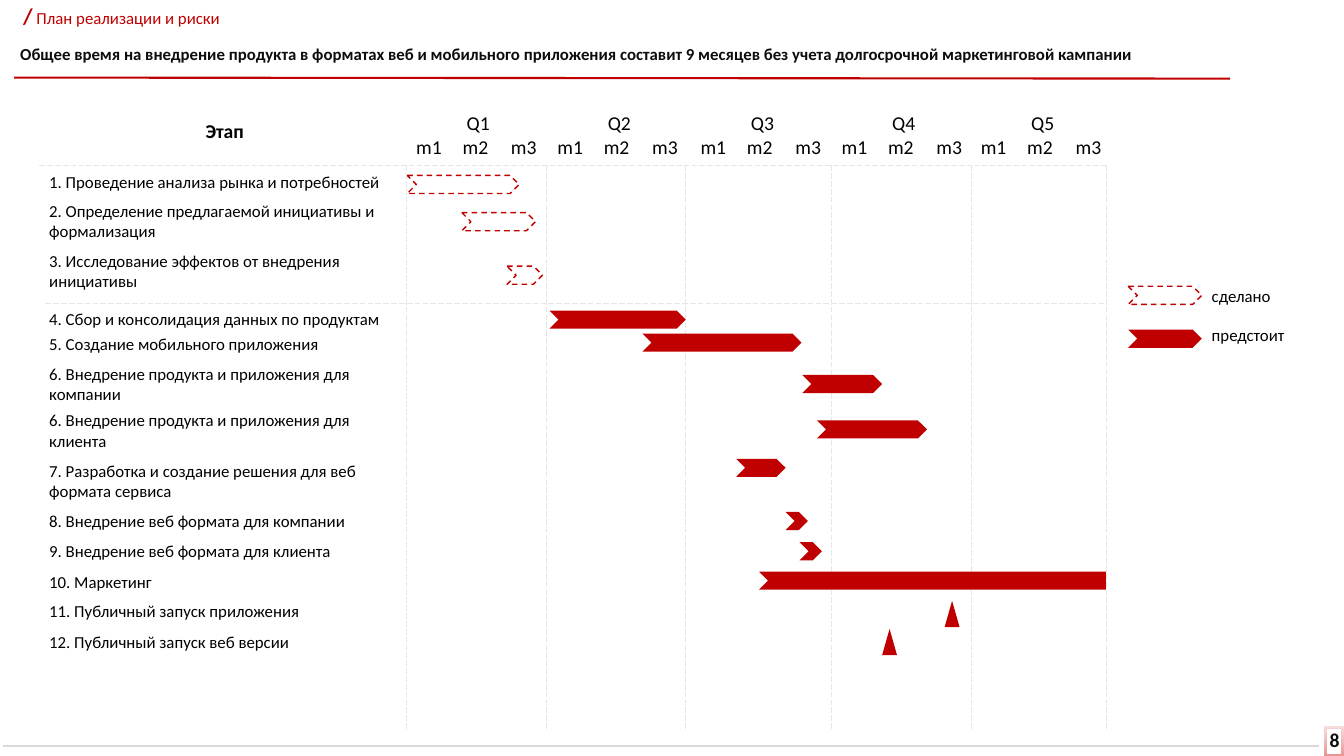
from copy import deepcopy
from pptx import Presentation
from pptx.dml.color import RGBColor
from pptx.enum.dml import MSO_LINE
from pptx.enum.shapes import MSO_CONNECTOR, MSO_SHAPE as SHAPE
from pptx.enum.text import MSO_ANCHOR, MSO_AUTO_SIZE, PP_ALIGN
from pptx.util import Inches, Pt
from lxml import etree

RED, GREY, BLACK, INK = "C00000", "E7E6E6", "000000", "0D0D0D"
LEFT, RIGHT, TOP, BOTTOM = 4.03, 10.97, 1.64, 7.25
MONTH = (RIGHT - LEFT) / 15
ROW = 7.5 / 25
BAR = 0.18

prs = Presentation()
prs.slide_width, prs.slide_height = Inches(13.33), Inches(7.5)
s = prs.slides.add_slide(prs.slide_layouts[5])


def rgb(value):
    return RGBColor.from_string(value)


def write(sp, box, runs, wrap=False):
    """Place a text shape and fill it with (text, format) runs."""
    sp.left, sp.top, sp.width, sp.height = map(Inches, box)
    tf = sp.text_frame
    tf.word_wrap = wrap
    tf.auto_size = MSO_AUTO_SIZE.SHAPE_TO_FIT_TEXT
    tf.vertical_anchor = MSO_ANCHOR.TOP
    p = tf.paragraphs[0]
    p.alignment = PP_ALIGN.LEFT
    for text, size, color, bold in runs:
        r = p.add_run()
        r.text = text
        for name, value in dict(name="Calibri", size=Pt(size), bold=bold).items():
            setattr(r.font, name, value)
        r.font.color.rgb = rgb(color)


# Heading
write(s.shapes.title, (0.1, 0.38, 12.1, 0.3),
      [("Общее время на внедрение продукта в форматах веб и мобильного приложения "
        "составит 9 месяцев без учета долгосрочной маркетинговой кампании",
        12, INK, True)], wrap=True)

# Rules and the dashed grid of quarters
quarters = [4.03, 5.42, 6.8, 8.25, 9.63, RIGHT]
rules = [(0.14, 0.77, 12.2, 0.78, RED, 1.5, None),
         (0.03, 7.4, 13.08, 7.4, "D9D9D9", 1.5, None),
         (0.39, TOP, RIGHT, TOP, GREY, 0.5, MSO_LINE.LONG_DASH),
         (0.45, 3.01, RIGHT, 3.01, GREY, 0.5, MSO_LINE.LONG_DASH)]
rules += [(x, TOP, x, BOTTOM, GREY, 0.5, MSO_LINE.LONG_DASH) for x in quarters[:-1]]
last_rule = (RIGHT, TOP, RIGHT, BOTTOM, GREY, 0.5, MSO_LINE.LONG_DASH)

# Stage label, label top in rows, bar top in rows, start and length in months
stages = [
    ("1. Проведение анализа рынка и потребностей", 5.53, 5.8, 0.02, 2.4),
    ("2. Определение предлагаемой инициативы и формализация", 6.47, 7.03, 1.19, 1.58),
    ("3. Исследование эффектов от внедрения инициативы", 8.13, 8.8, 2.16, 0.76),
    ("4. Сбор и консолидация данных по продуктам", 10.03, 10.27, 3.07, 2.92),
    ("5. Создание мобильного приложения", 10.87, 11.03, 5.06, 3.41),
    ("6. Внедрение продукта и приложения для компании", 11.87, 12.4, 8.49, 1.71),
    ("6. Внедрение продукта и приложения для клиента", 13.4, 13.9, 8.8, 2.36),
    ("7. Разработка и создание решения для веб формата сервиса", 15.07, 15.17, 7.07, 1.06),
    ("8. Внедрение веб формата для компании", 16.73, 16.93, 8.13, 0.48),
    ("9. Внедрение веб формата для клиента", 17.73, 17.93, 8.43, 0.48),
    ("10. Маркетинг", 18.73, 18.9, 7.56, 8.02),
    ("11. Публичный запуск приложения", 19.7, 19.87, 11.54, 0.32),
    ("12. Публичный запуск веб версии", 20.73, 20.8, 10.2, 0.32),
]
DONE, LAUNCHES = 3, 11

# Shapes: kind, box, fill, outline
shapes = []
texts = [("Этап", (1.94, 1.13, 0.58, 0.34), 14, True, False)]
for i, (label, label_row, bar_row, start, length) in enumerate(stages):
    height = 0.5 if len(label) > 43 else 0.3
    texts.append((label, (0.39, label_row * ROW, 3.63, height), 12, False, True))
    launch = i >= LAUNCHES
    box = (LEFT + start * MONTH, bar_row * ROW, length * MONTH, 0.26 if launch else BAR)
    shapes.append((SHAPE.ISOSCELES_TRIANGLE if launch else SHAPE.CHEVRON, box,
                   None if i < DONE else RED))
shapes.append((SHAPE.RECTANGLE, (RIGHT, 5.6, 0.45, 0.51), "FFFFFF"))

# Quarter and month headings
for q, x in enumerate([4.03, 5.43, 6.85, 8.25, 9.63], 1):
    texts.append((f"Q{q}", (x + 0.5, 1.05, 0.43, 0.34), 14, False, False))
    for m, dx in enumerate([0, 0.46, 0.94], 1):
        texts.append((f"m{m}", (x + dx, 1.29, 0.5, 0.34), 14, False, False))

# Legend
for label, y, bar_y, fill in [("сделано", 2.79, 2.84, None), ("предстоит", 3.17, 3.27, RED)]:
    shapes.append((SHAPE.CHEVRON, (11.19, bar_y, 0.73, BAR), fill))
    texts.append((label, (11.92, y, 0.93, 0.3), 12, False, False))

# Everything is drawn from back to front
for x1, y1, x2, y2, color, width, dash in rules + [last_rule]:
    if (x1, y1) == (RIGHT, TOP):
        for kind, box, fill in shapes:
            sp = s.shapes.add_shape(kind, *map(Inches, box))
            sp.shadow.inherit = False
            if fill:
                sp.fill.solid()
                sp.fill.fore_color.rgb = rgb(fill)
                sp.line.fill.background()
            else:
                sp.fill.background()
                sp.line.color.rgb = rgb(RED)
                sp.line.width = Pt(1)
                sp.line.dash_style = MSO_LINE.DASH
    line = s.shapes.add_connector(MSO_CONNECTOR.STRAIGHT, *map(Inches, (x1, y1, x2, y2)))
    line.line.color.rgb = rgb(color)
    line.line.width = Pt(width)
    line.line.dash_style = dash
    etree.SubElement(line._element.spPr,
                     "{http://schemas.openxmlformats.org/drawingml/2006/main}effectLst")

for text, box, size, bold, wrap in texts:
    write(s.shapes.add_textbox(0, 0, 0, 0), box, [(text, size, BLACK, bold)], wrap)

# Section name
write(s.shapes.add_textbox(0, 0, 0, 0), (0.13, -0.03, 2.18, 0.37),
      [("/", 16, RED, True), (" План реализации и риски", 12, RED, False)])

# Page number in its frame
frame = s.shapes.add_shape(SHAPE.FRAME, *map(Inches, (13.13, 7.2, 0.2, 0.31)))
frame.shadow.inherit = False
frame.line.fill.background()
frame.fill.gradient()
frame.fill.gradient_angle = 90
first = frame.fill._fill._gradFill.gsLst[0]
first.addnext(deepcopy(first))
for stop, position, color in zip(frame.fill.gradient_stops, (0, 0.5, 1),
                                 ("E98F8F", "EFBCBC", "F7DEDE")):
    stop.position = position
    stop.color.rgb = rgb(color)
write(s.shapes.add_textbox(0, 0, 0, 0), (13.09, 7.17, 0.2, 0.57),
      [("8", 14, INK, True)], wrap=True)

prs.save("out.pptx")
